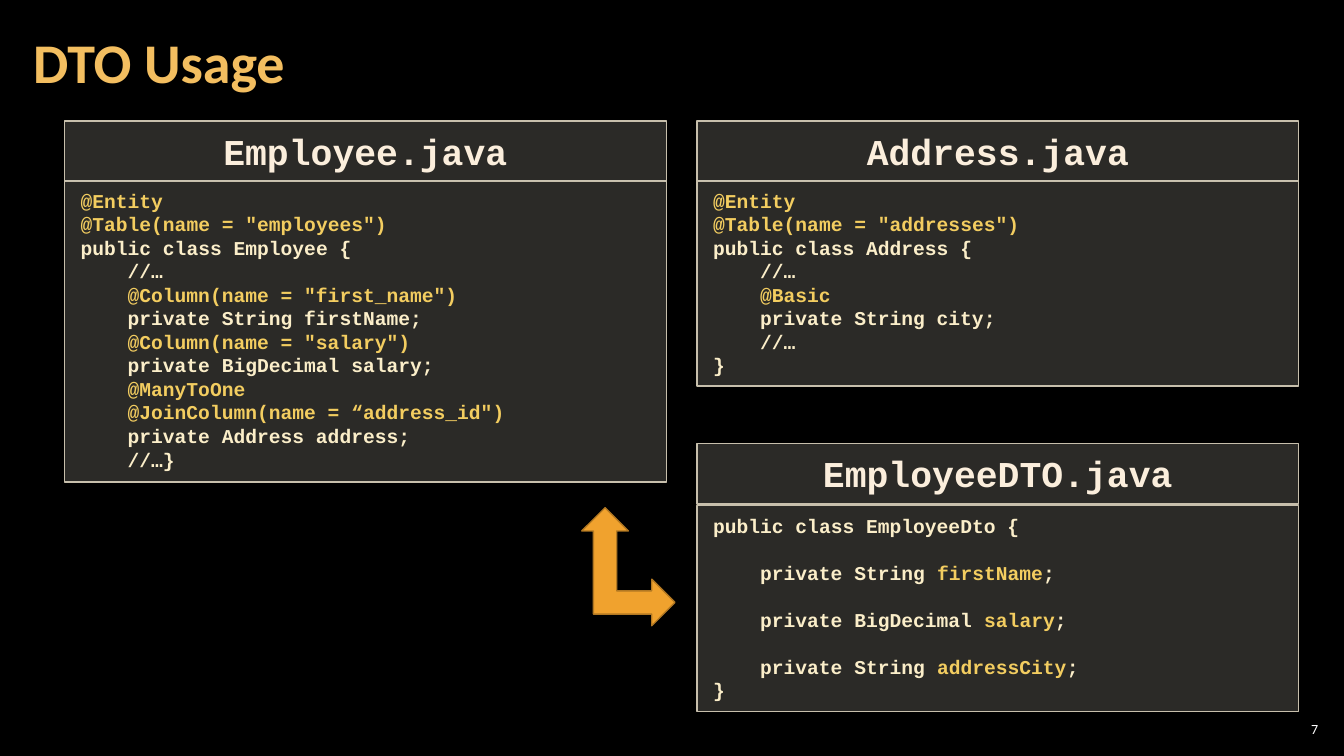
from dataclasses import dataclass

from lxml.etree import SubElement
from pptx import Presentation
from pptx.dml.color import RGBColor
from pptx.enum.shapes import MSO_SHAPE
from pptx.enum.text import MSO_ANCHOR, PP_ALIGN
from pptx.oxml.ns import qn
from pptx.shapes.autoshape import Shape
from pptx.slide import Slide
from pptx.text.text import TextFrame
from pptx.util import Pt

BLACK = RGBColor(0x00, 0x00, 0x00)
WHITE = RGBColor(0xFF, 0xFF, 0xFF)
TITLE = RGBColor(0xF3, 0xBE, 0x60)
PANEL = RGBColor(0xD9, 0xD5, 0xC7)
EDGE = RGBColor(0xC7, 0xBF, 0xAC)
HEAD = RGBColor(0xFB, 0xEE, 0xDC)
CODE = RGBColor(0xFB, 0xEE, 0xC9)
ACCENT = RGBColor(0xF3, 0xCD, 0x60)
ARROW = RGBColor(0xF0, 0xA2, 0x2E)
RIM = RGBColor(0xB2, 0x78, 0x22)

SANS = "Calibri"
MONO = "Courier New"
WIDTH = 429.8
HEAD_H = 43.2
INDENT = 33.6  # four characters of 14 pt code
PITCH = 16.8  # height of one line of code


@dataclass
class Line:
    """A line of code; text between backticks is accented."""
    text: str
    depth: int = 0
    gap: float = 0


@dataclass
class Card:
    name: str
    left: float
    top: float
    body_top: float
    body_h: float
    lines: list[Line]


CARDS = [
    Card("Employee.java", 46.2, 86.4, 129, 215.2, [
        Line("`@Entity`"),
        Line('`@Table(name = "employees")`'),
        Line("public class Employee {"),
        Line("//…", 1),
        Line('`@Column(name = "first_name")`', 1),
        Line("private String firstName;", 1),
        Line('`@Column(name = "salary")`', 1),
        Line("private BigDecimal salary;", 1),
        Line("`@ManyToOne`", 1),
        Line('`@JoinColumn(name = “address_id")`', 1),
        Line("private Address address;", 1),
        Line("//…}", 1),
    ]),
    Card("Address.java", 498, 86.4, 129, 146.9, [
        Line("`@Entity`"),
        Line('`@Table(name = "addresses")`'),
        Line("public class Address {"),
        Line("//…", 1),
        Line("`@Basic`", 1),
        Line("private String city;", 1),
        Line("//…", 1),
        Line("}"),
    ]),
    Card("EmployeeDTO.java", 498, 316.8, 361.2, 146.9, [
        Line("public class EmployeeDto {"),
        Line("private String `firstName`;", 1, PITCH),
        Line("private BigDecimal `salary`;", 1, PITCH),
        Line("private String `addressCity`;", 1, PITCH),
        Line("}"),
    ]),
]


def set_pad(frame: TextFrame, side: float, end: float) -> None:
    frame.margin_left = frame.margin_right = Pt(side)
    frame.margin_top = frame.margin_bottom = Pt(end)


def add_label(slide: Slide, text: str, left: float, top: float, width: float,
              height: float, side: float, size: float, color: RGBColor,
              bold: bool, align: PP_ALIGN) -> None:
    box = slide.shapes.add_textbox(Pt(left), Pt(top), Pt(width), Pt(height))
    frame = box.text_frame
    frame.word_wrap = True
    frame.vertical_anchor = MSO_ANCHOR.MIDDLE
    set_pad(frame, side, 3)
    para = frame.paragraphs[0]
    para.text = text
    para.alignment = align
    para.line_spacing = 0.9
    font = para.font
    font.name, font.size, font.bold = SANS, Pt(size), bold
    font.color.rgb = color


def add_block(slide: Slide, kind: MSO_SHAPE, left: float, top: float,
              width: float, height: float, fill: RGBColor,
              line: RGBColor) -> Shape:
    block = slide.shapes.add_shape(kind, Pt(left), Pt(top), Pt(width), Pt(height))
    block.shadow.inherit = False
    block.fill.solid()
    block.fill.fore_color.rgb = fill
    block.line.color.rgb = line
    block.line.width = Pt(1)
    return block


def add_panel(slide: Slide, left: float, top: float, height: float,
              lines: list[Line], size: float, color: RGBColor,
              align: PP_ALIGN) -> None:
    """Draw a see-through box with lines of fixed-width text."""
    panel = add_block(slide, MSO_SHAPE.RECTANGLE, left, top, WIDTH, height,
                      PANEL, EDGE)
    tint = panel._element.spPr.find(qn("a:solidFill"))[0]
    SubElement(tint, qn("a:alpha")).set("val", "20000")
    frame = panel.text_frame
    frame.word_wrap = True
    frame.vertical_anchor = MSO_ANCHOR.TOP
    set_pad(frame, 11.4, 5.7)
    for row, line in enumerate(lines):
        para = frame.add_paragraph() if row else frame.paragraphs[0]
        para.alignment = align
        para.line_spacing = 1.0
        para.space_before = Pt(line.gap)
        font = para.font
        font.name, font.size, font.bold = MONO, Pt(size), True
        props = para._p.get_or_add_pPr()
        props.set("marL", str(Pt(INDENT * line.depth)))
        props.set("indent", "0")
        for part, text in enumerate(line.text.split("`")):
            if text:
                run = para.add_run()
                run.text = text
                run.font.color.rgb = ACCENT if part % 2 else color


def add_card(slide: Slide, card: Card) -> None:
    add_panel(slide, card.left, card.body_top, card.body_h, card.lines, 14,
              CODE, PP_ALIGN.LEFT)
    add_panel(slide, card.left, card.top, HEAD_H, [Line(card.name)], 26,
              HEAD, PP_ALIGN.CENTER)


def main() -> None:
    deck = Presentation()
    deck.slide_width, deck.slide_height = Pt(960), Pt(540)
    slide = deck.slides.add_slide(deck.slide_layouts[6])
    slide.background.fill.solid()
    slide.background.fill.fore_color.rgb = BLACK

    add_label(slide, "7", 910.8, 514, 33.8, 15.2, 3, 10, WHITE, False,
              PP_ALIGN.RIGHT)
    add_label(slide, "DTO Usage", 15.1, 3, 753.8, 87, 8.5, 40, TITLE, True,
              PP_ALIGN.LEFT)
    for card in CARDS:
        add_card(slide, card)
    arrow = add_block(slide, MSO_SHAPE.LEFT_UP_ARROW, 415.6, 362.6, 66.6, 84.4,
                      ARROW, RIM)
    arrow._element.spPr.find(qn("a:xfrm")).set("flipH", "1")
    deck.save("out.pptx")


if __name__ == "__main__":
    main()
